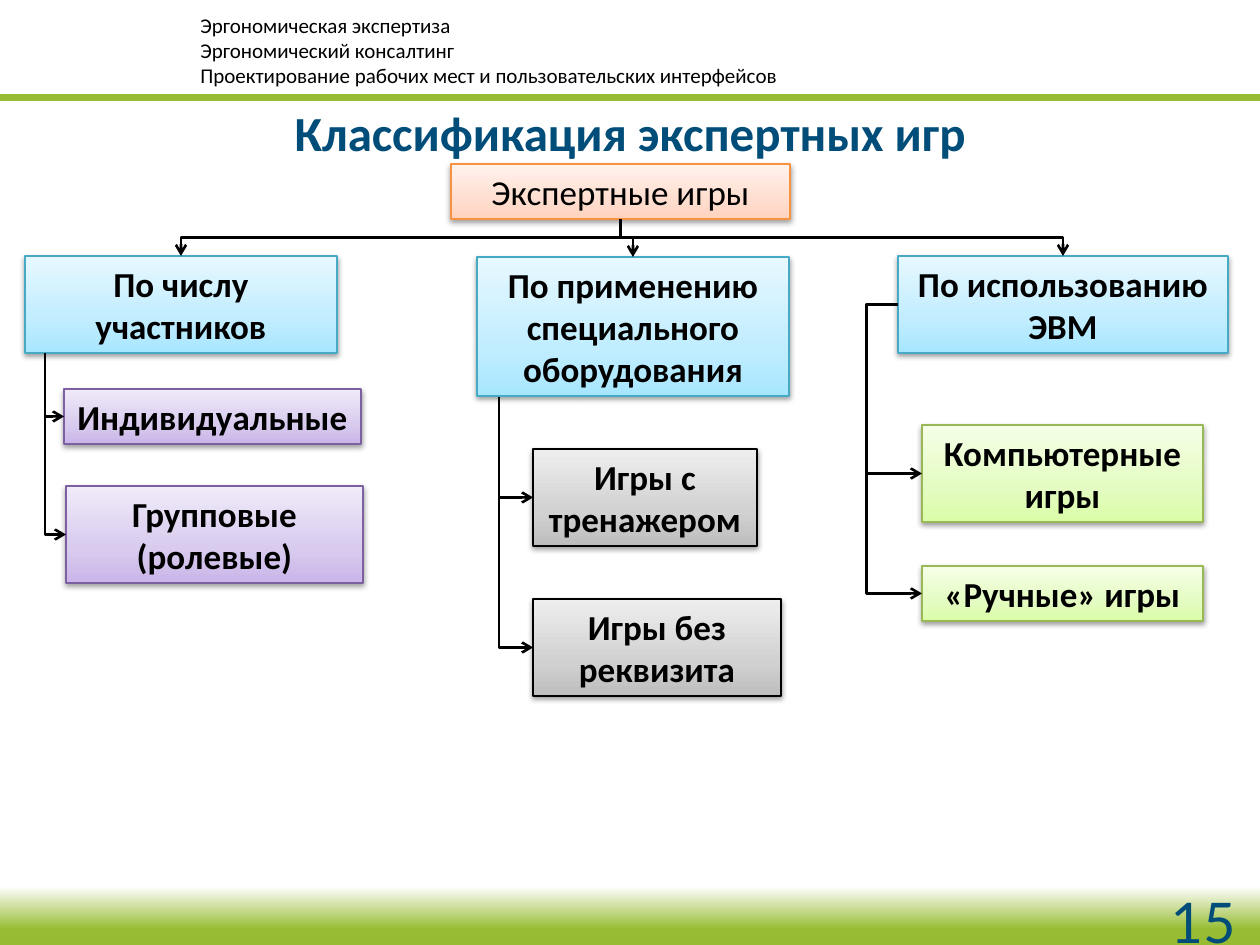
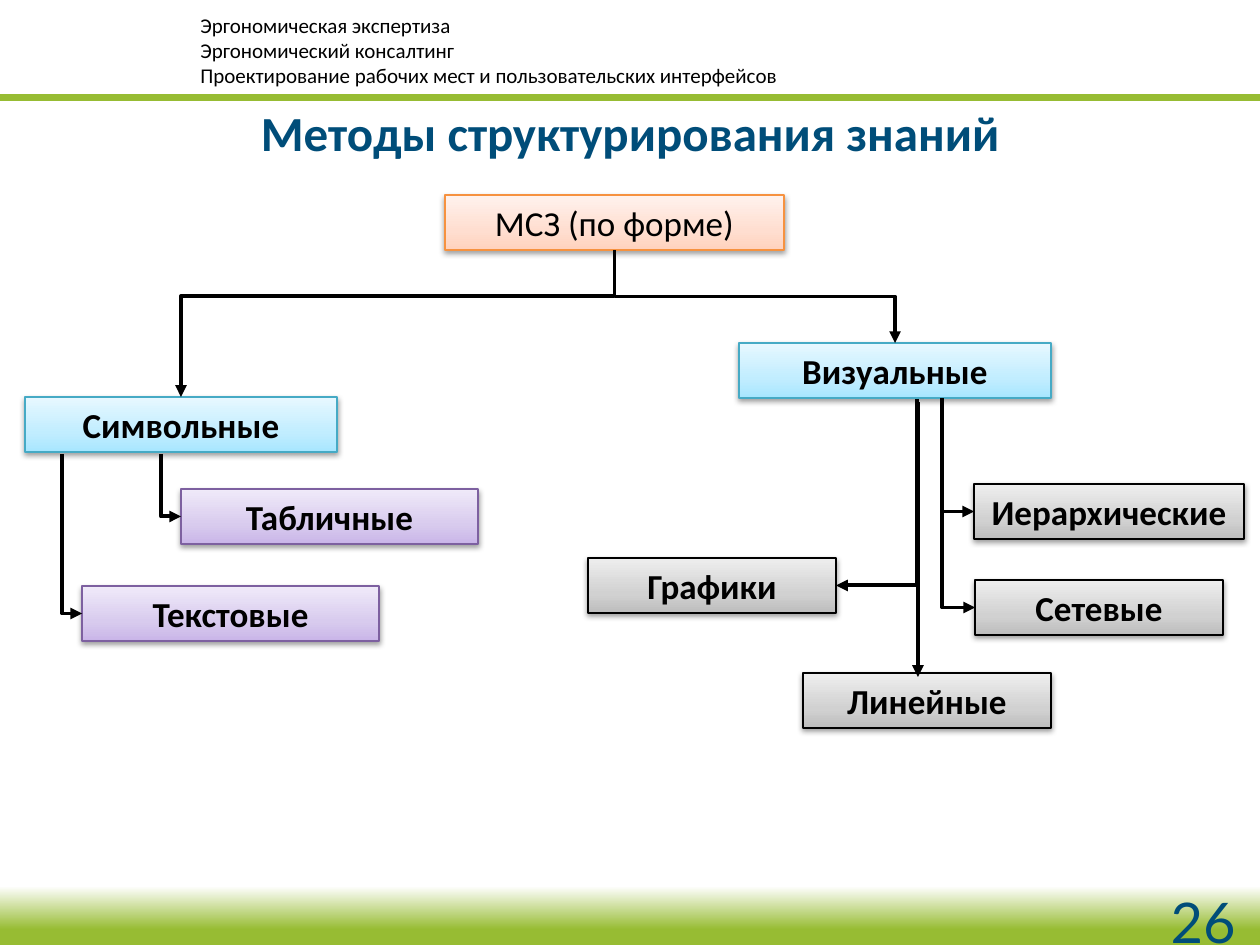
from lxml.etree import SubElement
from pptx import Presentation
from pptx.dml.color import RGBColor
from pptx.enum.shapes import MSO_CONNECTOR, MSO_SHAPE
from pptx.enum.text import MSO_ANCHOR, PP_ALIGN
from pptx.oxml.ns import qn
from pptx.util import Pt

SCALE = 914400 / 126
GREEN, NAVY, BLACK = "97BC33", "004D79", "000000"
BAND = [(0, GREEN), (37, GREEN), (100, "FFFFFF")]

# Box styles: outline, then gradient colours from bottom to top
STYLES = {
    "peach": ("F69240", "FFD2BD", "FFDED0", "FFF2ED"),
    "blue": ("46AAC5", "A7E6FF", "C1EDFF", "E7F8FF"),
    "lime": ("98B955", "DAFDA7", "E4FCC2", "F5FFE7"),
    "gray": (BLACK, "BDBDBD", "D1D1D1", "EEEEEE"),
    "violet": ("7D60A0", "C9B5E8", "D8CBEE", "F0EAF9"),
}
HEADER = """Эргономическая экспертиза
Эргономический консалтинг
Проектирование рабочих мест и пользовательских интерфейсов"""

# Connection sites of a rectangle
TOP, LEFT, BOTTOM, RIGHT = range(4)


def px(*values):
    return [round(v * SCALE) for v in values]


def paint(value):
    return RGBColor.from_string(value)


def write(shape, text, size, color=BLACK, bold=False, font="Calibri",
          align=PP_ALIGN.CENTER, anchor=MSO_ANCHOR.TOP):
    frame = shape.text_frame
    frame.word_wrap = True
    frame.vertical_anchor = anchor
    for i, line in enumerate(text.split("\n")):
        para = frame.add_paragraph() if i else frame.paragraphs[0]
        para.alignment = align
        run = para.add_run()
        run.text = line
        run.font.size = Pt(size)
        run.font.name = font
        run.font.bold = bold
        run.font.color.rgb = paint(color)


def label(slide, place, text, size, **look):
    write(slide.shapes.add_textbox(*px(*place)), text, size, **look)


def rect(slide, place):
    shape = slide.shapes.add_shape(MSO_SHAPE.RECTANGLE, *px(*place))
    shape.shadow.inherit = False
    shape.line.fill.background()
    return shape


def blend(shape, stops):
    """Fill a shape with a gradient that rises from the bottom."""
    props = shape._element.spPr
    grad = SubElement(props, qn("a:gradFill"), rotWithShape="1")
    props.find(qn("a:prstGeom")).addnext(grad)
    group = SubElement(grad, qn("a:gsLst"))
    for pos, color in stops:
        stop = SubElement(group, qn("a:gs"), pos=str(pos * 1000))
        SubElement(stop, qn("a:srgbClr"), val=color)
    SubElement(grad, qn("a:lin"), ang="16200000", scaled="0")


def shade(shape):
    effects = shape._element.spPr.find(qn("a:effectLst"))
    outer = SubElement(effects, qn("a:outerShdw"), blurRad="40000",
                       dist="20000", dir="5400000", rotWithShape="0")
    color = SubElement(outer, qn("a:srgbClr"), val=BLACK)
    SubElement(color, qn("a:alpha"), val="38000")


def box(slide, style, x, y, width, text, lines=1):
    edge, *colors = STYLES[style]
    shape = rect(slide, (x, y, width, 13 + 42 * lines))
    blend(shape, zip((0, 35, 100), colors))
    shape.line.color.rgb = paint(edge)
    shape.line.width = Pt(0.75)
    shade(shape)
    write(shape, text, 20, bold=style != "peach")
    return shape


def free(x, y):
    return (*px(x, y), None, None)


def pin(shape, site):
    x = shape.left + shape.width * {LEFT: 0, RIGHT: 2}.get(site, 1) // 2
    y = shape.top + shape.height * {TOP: 0, BOTTOM: 2}.get(site, 1) // 2
    return x, y, shape, site


def dress(wire, width, head):
    wire.line.color.rgb = paint(BLACK)
    wire.line.width = Pt(width)
    props = wire._element.spPr
    SubElement(props.find(qn("a:ln")), qn("a:tailEnd"), type=head)
    SubElement(props, qn("a:effectLst"))


def bend(slide, start, goal, pen, turns=1, down=True, adj=None):
    """Draw an elbow with one or two turns that leaves downwards or sideways."""
    x1, y1, source, out = start
    x2, y2, target, into = goal
    wire = slide.shapes.add_connector(MSO_CONNECTOR.ELBOW, x1, y1, x2, y2)
    if source is not None:
        wire.begin_connect(source, out)
    if target is not None:
        wire.end_connect(target, into)

    # Lay out the frame, turned a quarter when the elbow leaves downwards
    right = x2 > x1
    width, height = abs(x2 - x1), abs(y2 - y1)
    if down:
        width, height = height, width
    frame = wire._element.spPr.find(qn("a:xfrm"))
    frame.attrib.clear()
    if down:
        frame.set("rot", "16200000" if right else "5400000")
    if right == down:
        frame.set("flipH", "1")
    wire.left, wire.top = (x1 + x2 - width) // 2, (y1 + y2 - height) // 2
    wire.width, wire.height = width, height

    geom = wire._element.spPr.find(qn("a:prstGeom"))
    geom.set("prst", f"bentConnector{turns + 1}")
    if adj is not None:
        SubElement(geom.find(qn("a:avLst")), qn("a:gd"), name="adj1",
                   fmla=f"val {adj * 1000}")
    dress(wire, *pen)


def base(deck, title, number):
    """Add a slide with the shared header, title, band and number."""
    slide = deck.slides.add_slide(deck.slide_layouts[5])
    blend(rect(slide, (-20, 886, 1319, 69)), BAND)
    label(slide, (188, 6, 959, 88), HEADER, 12, align=PP_ALIGN.LEFT)
    bar = rect(slide, (-59, 94, 1358, 7))
    bar.fill.solid()
    bar.fill.fore_color.rgb = paint(GREEN)
    label(slide, (954, 896, 294, 50), number, 32, color=NAVY, font="Lato",
          align=PP_ALIGN.RIGHT, anchor=MSO_ANCHOR.MIDDLE)
    head = slide.shapes.title
    head.left, head.top, head.width, head.height = px(0, 96, 1260, 72)
    write(head, title, 28, color=NAVY, bold=True)
    return slide


def games(deck):
    slide = base(deck, "Классификация экспертных игр", "15")
    pen = (1.5, "arrow")
    root = box(slide, "peach", 451, 164, 339, "Экспертные игры")

    # Criteria
    count = box(slide, "blue", 25, 256, 312, "По числу участников", 2)
    gear = box(slide, "blue", 477, 257, 312,
               "По применению\nспециального\nоборудования", 3)
    usage = box(slide, "blue", 898, 256, 330, "По использованию\nЭВМ", 2)
    for group in (count, gear, usage):
        bend(slide, pin(root, BOTTOM), pin(group, TOP), pen, turns=2)

    # Kinds of game
    for x, y, text, lines in ((64, 389, "Индивидуальные", 1),
                              (66, 486, "Групповые (ролевые)", 2)):
        kind = box(slide, "violet", x, y, 297, text, lines)
        bend(slide, free(45, 353), pin(kind, LEFT), pen)
    for y, width, text, top in ((449, 224, "Игры с тренажером", 420),
                                (599, 248, "Игры без реквизита", 397)):
        kind = box(slide, "gray", 533, y, width, text, 2)
        bend(slide, free(499, top), pin(kind, LEFT), pen)
    for y, text, lines in ((425, "Компьютерные игры", 2),
                           (566, "«Ручные» игры", 1)):
        kind = box(slide, "lime", 922, y, 281, text, lines)
        bend(slide, pin(usage, LEFT), pin(kind, LEFT), pen, turns=2,
             down=False, adj=-130)


def methods(deck):
    slide = base(deck, "Методы структурирования знаний", "26")
    pen = (2.25, "triangle")
    root = box(slide, "peach", 445, 195, 339, "МСЗ (по форме)")

    # Forms
    signs = box(slide, "blue", 25, 397, 312, "Символьные")
    views = box(slide, "blue", 739, 343, 312, "Визуальные")
    bend(slide, free(614, 296), pin(signs, TOP), pen, down=False)
    bend(slide, pin(root, BOTTOM), pin(views, TOP), pen, turns=2)

    # Methods reached by an elbow: style, place, text, start, side
    for style, x, y, width, text, start, side in (
            ("violet", 181, 489, 297, "Табличные", (161, 454), LEFT),
            ("violet", 82, 586, 297, "Текстовые", (62, 454), LEFT),
            ("gray", 974, 484, 270, "Иерархические", (942, 413), LEFT),
            ("gray", 975, 580, 248, "Сетевые", (942, 398), LEFT),
            ("gray", 588, 558, 248, "Графики", (917, 399), RIGHT)):
        item = box(slide, style, x, y, width, text)
        bend(slide, free(*start), pin(item, side), pen)

    # Straight branch
    box(slide, "gray", 803, 673, 248, "Линейные")
    wire = slide.shapes.add_connector(MSO_CONNECTOR.STRAIGHT,
                                      *px(918, 402, 918, 677))
    dress(wire, *pen)


def main():
    deck = Presentation()
    deck.slide_width, deck.slide_height = px(1260, 945)
    games(deck)
    methods(deck)
    deck.save("out.pptx")


if __name__ == "__main__":
    main()
